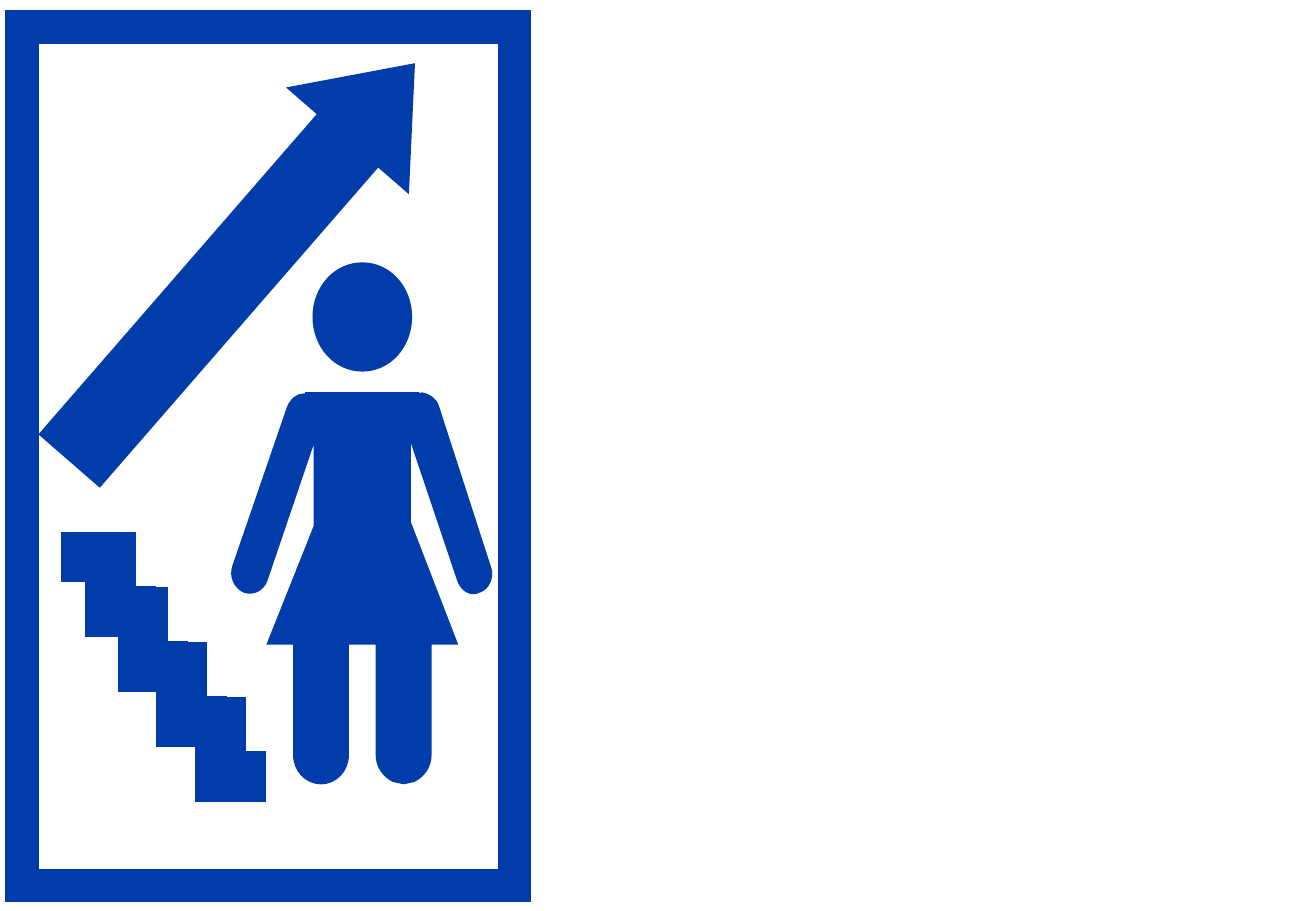
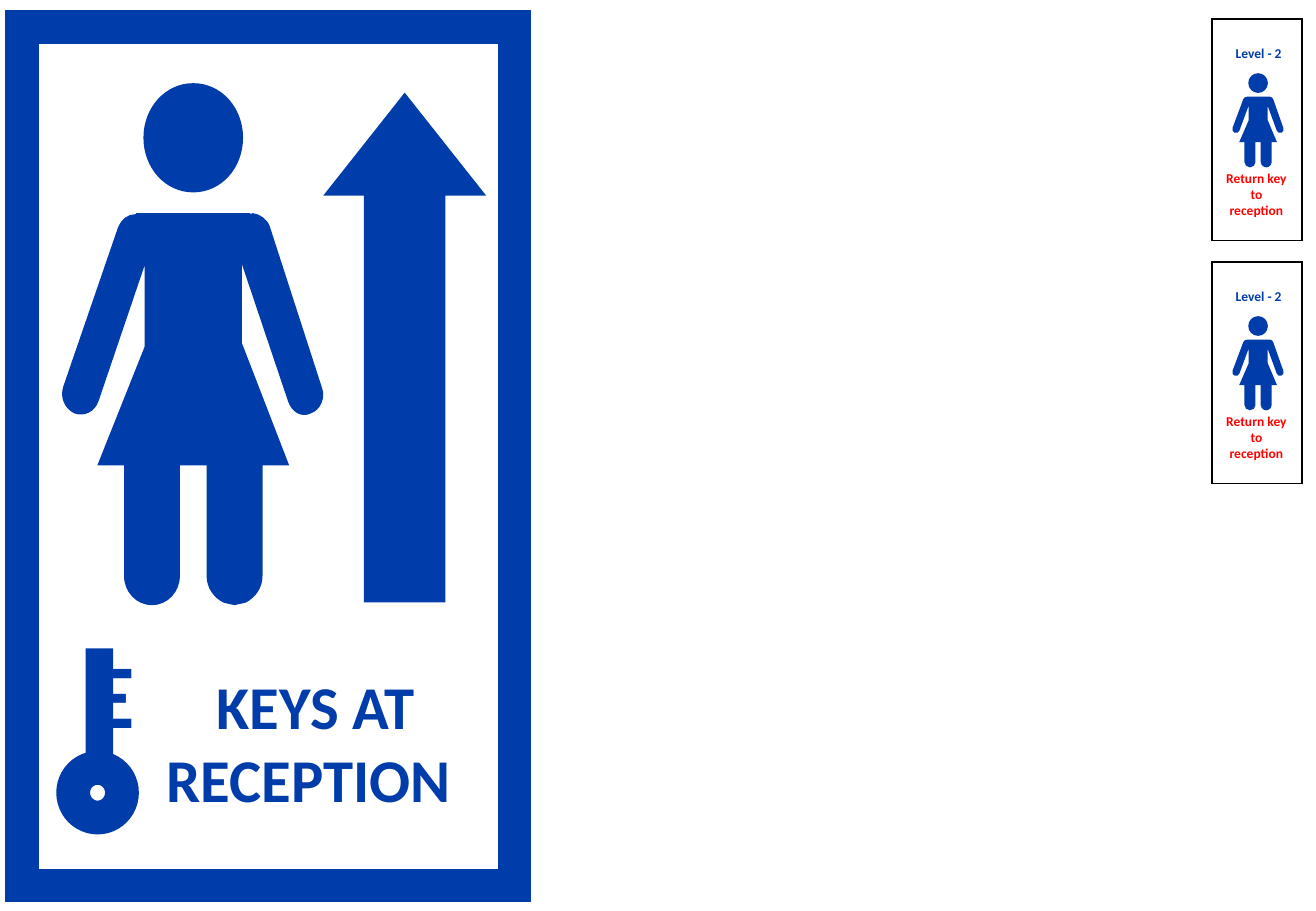
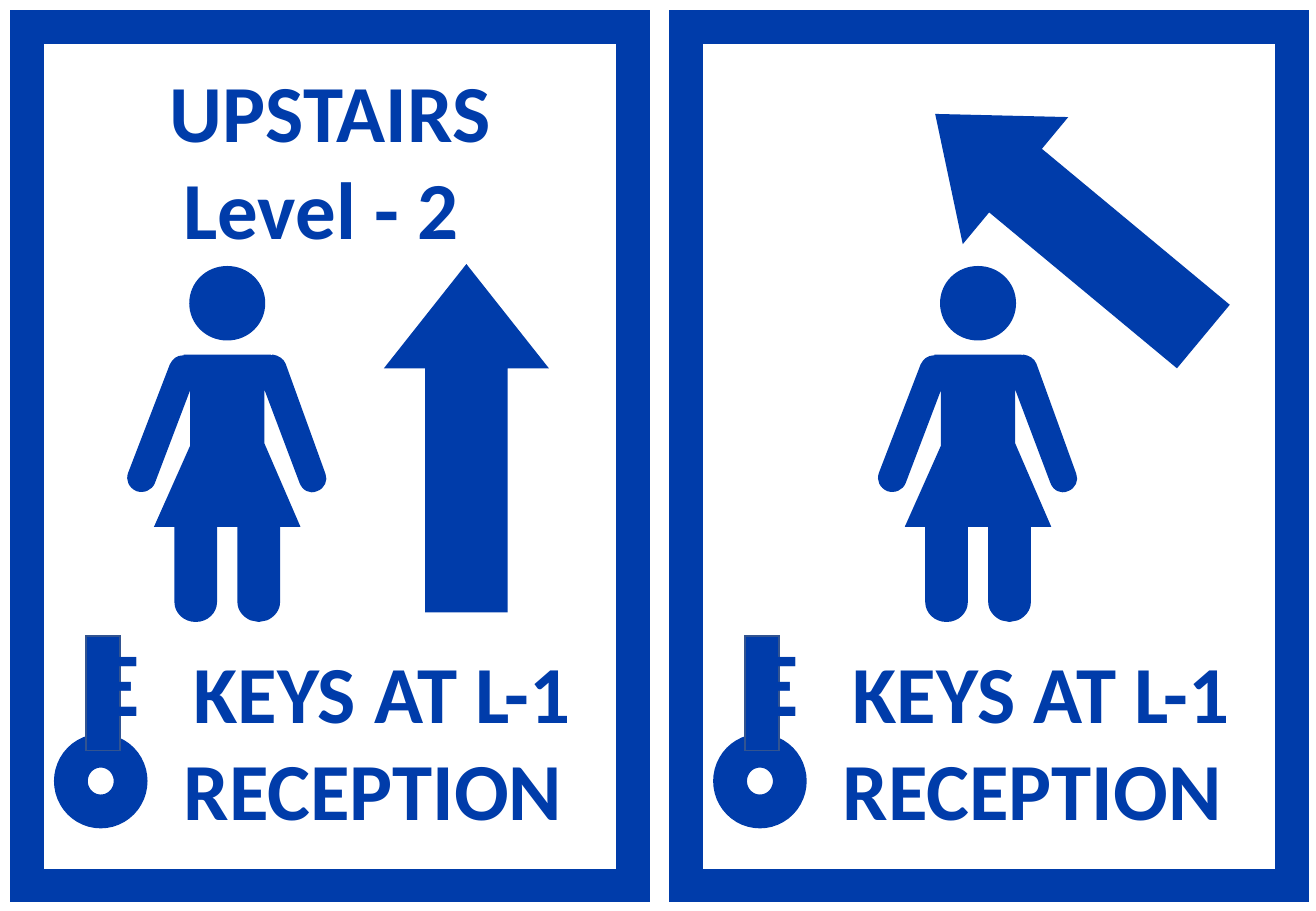
from dataclasses import dataclass
from typing import NamedTuple, Optional

from lxml.etree import SubElement
from pptx import Presentation
from pptx.dml.color import RGBColor
from pptx.enum.shapes import MSO_CONNECTOR as CONN, MSO_SHAPE as SHAPE
from pptx.enum.text import MSO_AUTO_SIZE as AUTO, PP_ALIGN as ALIGN
from pptx.oxml.ns import qn
from pptx.util import Pt


@dataclass(frozen=True)
class Theme:
    blue: RGBColor = RGBColor(0x00, 0x3C, 0xAA)
    red: RGBColor = RGBColor(0xFF, 0x00, 0x00)
    black: RGBColor = RGBColor(0x00, 0x00, 0x00)
    shaft_edge: RGBColor = RGBColor(0x32, 0x54, 0x91)
    font: str = "Calibri"
    tag: int = 8
    notice: int = 36
    headline: int = 48
    teeth: int = 54
    border: int = 20
    stair: int = 30
    hairline: int = 1


class Box(NamedTuple):
    """A rectangle in points."""
    x: float
    y: float
    w: float
    h: float

    def moved(self, dx: float = 0, dy: float = 0) -> "Box":
        return Box(self.x + dx, self.y + dy, self.w, self.h)

    def emu(self) -> tuple:
        return tuple(Pt(v) for v in self)


class Key(NamedTuple):
    ring: Box
    shaft: Box
    teeth: Box
    edge: Optional[RGBColor] = None

    def moved(self, dx: float) -> "Key":
        return Key(self.ring.moved(dx), self.shaft.moved(dx),
                   self.teeth.moved(dx), self.edge)


THEME = Theme()
FIGURE_W, FIGURE_H = 215, 430

# Two numbers are a line to a point, six are a cubic curve.
BODY = [
    (61, 107), (155, 107), (155, 108), (157, 107),
    (163, 108, 169, 112, 171, 118), (214, 251),
    (217, 259, 213, 269, 205, 272), (197, 276, 189, 271, 186, 262),
    (148, 149), (148, 214), (187, 315), (165, 315),
    (165, 406), (165, 416, 159, 424, 151, 428), (142, 430),
    (133, 428), (125, 424, 119, 416, 119, 406), (119, 315), (97, 315),
    (97, 406), (97, 419, 87, 430, 74, 430), (61, 430, 51, 419, 51, 406),
    (51, 315), (29, 315), (68, 217), (68, 150),
    (30, 262), (27, 271, 18, 275, 10, 272), (2, 268, -2, 259, 1, 250),
    (46, 119), (49, 112, 54, 108, 60, 108), (61, 108),
]
HEAD = [
    (108, 0), (131, 0, 149, 20, 149, 45), (149, 70, 131, 90, 108, 90),
    (85, 90, 67, 70, 67, 45), (67, 20, 85, 0, 108, 0),
]


def write_outline(geometry, outline: list) -> None:
    """Append one closed contour of lines and cubic curves."""
    for i, part in enumerate(outline):
        tag = "a:moveTo" if i == 0 else "a:lnTo"
        step = SubElement(geometry, qn("a:cubicBezTo" if len(part) == 6 else tag))
        for x, y in zip(part[::2], part[1::2]):
            SubElement(step, qn("a:pt"), x=str(x), y=str(y))
    SubElement(geometry, qn("a:close"))


def set_line(sp, color: RGBColor, width: float) -> None:
    """Give a solid line with square corners."""
    sp.line.color.rgb = color
    sp.line.width = Pt(width)
    SubElement(sp.line._get_or_add_ln(), qn("a:miter"), lim="800000")


def style(sp, fill: Optional[RGBColor] = None,
          line: Optional[RGBColor] = None, width: float = 0) -> None:
    sp.shadow.inherit = False
    if fill is None:
        sp.fill.background()
    else:
        sp.fill.solid()
        sp.fill.fore_color.rgb = fill
    if line is None:
        sp.line.fill.background()
    else:
        set_line(sp, line, width)


def add_frame(s, box: Box, color: RGBColor = THEME.blue,
              width: float = THEME.border) -> None:
    style(s.shapes.add_shape(SHAPE.RECTANGLE, *box.emu()), None, color, width)


def add_figure(s, box: Box) -> None:
    """Set the extent with a freeform, then give it curved contours."""
    scale = (Pt(box.w) / FIGURE_W, Pt(box.h) / FIGURE_H)
    fb = s.shapes.build_freeform(0, 0, scale=scale)
    fb.add_line_segments([(FIGURE_W, 0), (FIGURE_W, FIGURE_H)])
    sp = fb.convert_to_shape(Pt(box.x), Pt(box.y))
    geometry = next(sp._element.iter(qn("a:path")))
    for step in list(geometry):
        geometry.remove(step)
    for outline in (BODY, HEAD):
        write_outline(geometry, outline)
    style(sp, THEME.blue)


def add_arrow(s, box: Box, rotation: float = 180) -> None:
    sp = s.shapes.add_shape(SHAPE.DOWN_ARROW, *box.emu())
    sp.adjustments[0], sp.adjustments[1] = 0.5, 0.632
    sp.rotation = rotation
    style(sp, THEME.blue)


def add_text(s, box: Box, text: str, size: float,
             color: RGBColor = THEME.blue, align=ALIGN.CENTER) -> None:
    tf = s.shapes.add_textbox(*box.emu()).text_frame
    tf.word_wrap = True
    tf.auto_size = AUTO.SHAPE_TO_FIT_TEXT
    tf.text = text
    p = tf.paragraphs[0]
    p.alignment = align
    for r in p.runs:
        r.font.name, r.font.size, r.font.bold = THEME.font, Pt(size), True
        r.font.color.rgb = color


def add_key(s, key: Key) -> None:
    ring = s.shapes.add_shape(SHAPE.OVAL, *key.ring.emu())
    style(ring, None, THEME.blue, THEME.border)
    shaft = s.shapes.add_shape(SHAPE.RECTANGLE, *key.shaft.emu())
    style(shaft, THEME.blue, key.edge, THEME.hairline)
    add_text(s, key.teeth, "E", THEME.teeth, align=ALIGN.LEFT)


def add_stair(s, box: Box) -> None:
    cx = s.shapes.add_connector(CONN.ELBOW, Pt(box.x), Pt(box.y),
                                Pt(box.x + box.w), Pt(box.y + box.h))
    set_line(cx, THEME.blue, THEME.stair)
    sp_pr = cx._element.spPr
    guides = sp_pr.find(qn("a:prstGeom")).find(qn("a:avLst"))
    SubElement(guides, qn("a:gd"), name="adj1", fmla="val 52500")
    SubElement(sp_pr, qn("a:effectLst"))


def add_tag(s, dy: float) -> None:
    """Draw a key tag with its level and return notice."""
    add_frame(s, Box(718.5, 11.2, 53.3, 131.4).moved(dy=dy),
              THEME.black, THEME.hairline)
    add_figure(s, Box(730.4, 43.4, 30.5, 55.8).moved(dy=dy))
    add_text(s, Box(722.6, 23, 46.8, 17).moved(dy=dy), "Level - 2", THEME.tag)
    add_text(s, Box(718.1, 97.2, 53.3, 36).moved(dy=dy),
             "Return key to reception", THEME.tag, THEME.red)


NARROW_FRAME = Box(13, 16, 292, 509)
WIDE_FRAME = Box(16, 16, 359.3, 509)
LARGE_FIGURE = Box(137, 155.5, 154.8, 309.4)
MEDIUM_FIGURE = Box(75.4, 157.7, 118.1, 211)
SIGN_STEP = 390.7  # between the two wide signs
TAG_STEP = 144


def build_stairs_sign(s) -> None:
    add_frame(s, NARROW_FRAME)
    add_figure(s, LARGE_FIGURE)
    add_arrow(s, Box(95.2, -0.9, 96.5, 312.5), 221)
    for i, x in enumerate((36, 55, 77.9, 100.9)):
        add_stair(s, Box(x, 330.1 + 32.6 * i, 56.5, 32.5))


def build_keys_sign(s) -> None:
    add_frame(s, NARROW_FRAME)
    add_figure(s, LARGE_FIGURE.moved(-100.2, -106.2))
    add_arrow(s, Box(191.6, 54.9, 96.5, 302.2))
    add_key(s, Key(Box(43.4, 455.2, 28.9, 29.4), Box(50.7, 384.4, 16.3, 67.7),
                   Box(50.4, 374.4, 10.4, 72.7)))
    add_text(s, Box(73.4, 393.1, 227.5, 94.3), "KEYS AT RECEPTION ",
             THEME.notice)
    for i in range(2):
        add_tag(s, TAG_STEP * i)


def build_level_signs(s) -> None:
    key = Key(Box(42, 445, 35.4, 36), Box(50.8, 377.1, 20.2, 67.8),
              Box(50.4, 367.2, 13.3, 72.7), THEME.shaft_edge)
    notice = Box(86.5, 377.3, 280, 123.8)
    for dx in (0, SIGN_STEP):
        add_frame(s, WIDE_FRAME.moved(dx))
        add_key(s, key.moved(dx))
        add_text(s, notice.moved(dx), "KEYS AT L-1 RECEPTION ",
                 THEME.headline)
    add_text(s, Box(55.7, 32.7, 280, 123.8), "UPSTAIRS Level - 2 ",
             THEME.headline)
    add_figure(s, MEDIUM_FIGURE)
    add_arrow(s, Box(227.5, 156.5, 97.9, 206.5))
    add_figure(s, MEDIUM_FIGURE.moved(445))
    add_arrow(s, Box(584.8, 30.2, 97.9, 206.6), 129.7)


def main() -> None:
    prs = Presentation()
    prs.slide_width, prs.slide_height = Pt(780), Pt(540)
    blank = prs.slide_layouts[6]
    for build in (build_stairs_sign, build_keys_sign, build_level_signs):
        build(prs.slides.add_slide(blank))
    prs.save("out.pptx")


if __name__ == "__main__":
    main()
